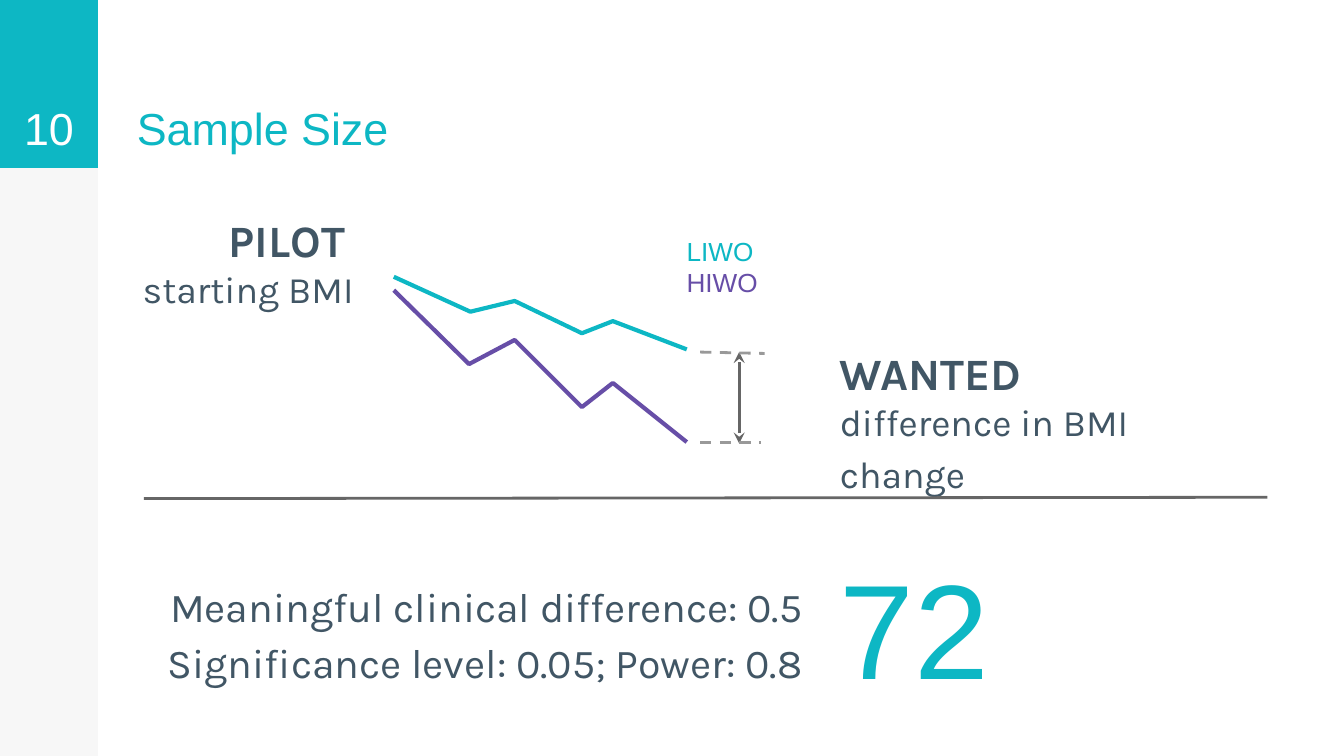
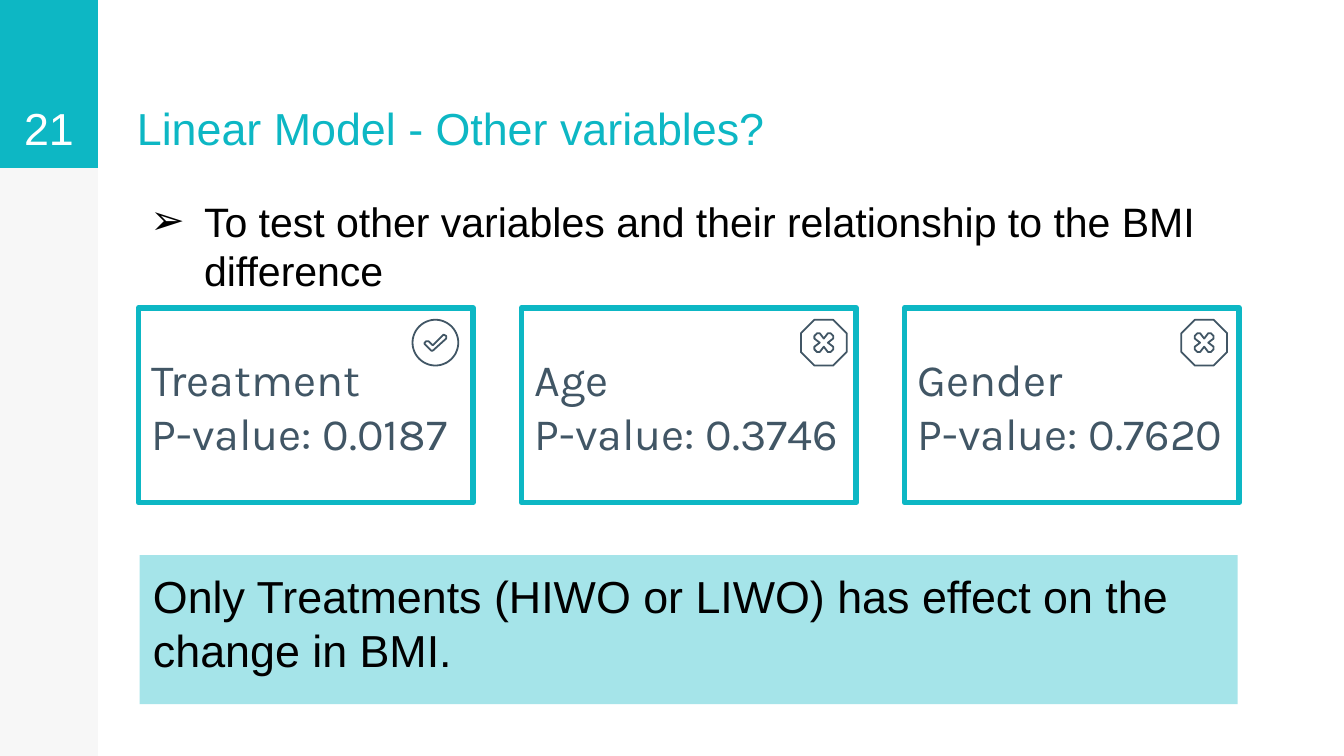
import math
from dataclasses import dataclass

from lxml import etree
from pptx import Presentation
from pptx.dml.color import RGBColor
from pptx.enum.dml import MSO_LINE
from pptx.enum.shapes import MSO_CONNECTOR, MSO_SHAPE
from pptx.enum.text import MSO_ANCHOR, PP_ALIGN
from pptx.oxml.ns import qn
from pptx.util import Inches, Pt

TEAL = RGBColor(0x0D, 0xB7, 0xC4)
PURPLE = RGBColor(0x67, 0x4E, 0xA7)
SLATE = RGBColor(0x41, 0x56, 0x65)
DARK_GRAY = RGBColor(0x66, 0x66, 0x66)
MID_GRAY = RGBColor(0x99, 0x99, 0x99)
BLACK = RGBColor(0, 0, 0)
WHITE = RGBColor(0xFF, 0xFF, 0xFF)

LEFT, CENTER, RIGHT = PP_ALIGN.LEFT, PP_ALIGN.CENTER, PP_ALIGN.RIGHT
TOP, MIDDLE, BOTTOM = MSO_ANCHOR.TOP, MSO_ANCHOR.MIDDLE, MSO_ANCHOR.BOTTOM
RECT, STRAIGHT, DASH = MSO_SHAPE.RECTANGLE, MSO_CONNECTOR.STRAIGHT, MSO_LINE.DASH

SLIDE_W = 10
SLIDE_H = SLIDE_W * 9 / 16
BAND_W, BAND_H = 0.73, 1.25
HEADING, BODY = "Arial", "Karla"

Point = tuple[float, float]
Box = tuple[float, float, float, float]


@dataclass(frozen=True)
class Run:
    text: str
    size: float
    color: RGBColor = SLATE
    font: str = BODY
    bold: bool = False


@dataclass(frozen=True)
class Trend:
    color: RGBColor
    points: list[Point]


@dataclass(frozen=True)
class Line:
    start: Point
    end: Point
    color: RGBColor
    dashed: bool = False
    arrows: bool = False


@dataclass(frozen=True)
class VariableCard:
    name: str
    p_value: str
    icon_x: float
    significant: bool


TRENDS = [
    Trend(TEAL, [(2.93, 2.06), (3.5, 2.32), (3.83, 2.24), (4.33, 2.48),
                 (4.56, 2.39), (5.11, 2.6)]),
    Trend(PURPLE, [(2.93, 2.16), (3.49, 2.71), (3.83, 2.53), (4.33, 3.03),
                   (4.56, 2.85), (5.11, 3.29)]),
]

LINES = [
    Line((1.07, 3.71), (9.43, 3.7), DARK_GRAY),
    Line((5.5, 3.3), (5.5, 2.62), DARK_GRAY, arrows=True),
    Line((5.21, 2.62), (5.69, 2.63), MID_GRAY, dashed=True),
    Line((5.21, 3.29), (5.66, 3.29), MID_GRAY, dashed=True),
]

CARDS = [
    VariableCard("Treatment", "0.0187", 3.24, True),
    VariableCard("Age", "0.3746", 6.13, False),
    VariableCard("Gender", "0.7620", 8.96, False),
]
CARD_X, CARD_Y, CARD_W, CARD_H, CARD_STEP = 1.03, 2.29, 2.49, 1.45, 2.85

# Icon outlines, relative to the icon centre
ICON_Y, ICON_R = 2.55, 0.17
TICK = [(-0.02, 0.06), (0.08, -0.03), (0.08, -0.05), (0.06, -0.06), (0.05, -0.05),
        (-0.02, 0.02), (-0.05, -0.01), (-0.07, -0.01), (-0.08, 0), (-0.08, 0.01),
        (-0.03, 0.06)]
CROSS_ARM = [(0.03, 0), (0.07, 0.03), (0.07, 0.05), (0.05, 0.07), (0.03, 0.07)]
OCTAGON_SIDE = [(ICON_R, -0.07), (ICON_R, 0.07)]


def four_turns(points: list[Point]) -> list[Point]:
    """Repeat the points after each quarter turn about the origin."""
    outline = []
    for _ in range(4):
        outline += points
        points = [(-y, x) for x, y in points]
    return outline


def circle(radius: float, steps: int = 72) -> list[Point]:
    angles = [2 * math.pi * i / steps for i in range(steps)]
    return [(radius * math.cos(a), radius * math.sin(a)) for a in angles]


def write(sp, paragraphs: list[list[Run]], align=LEFT, anchor=TOP, spacing: float = 1.0):
    tf = sp.text_frame
    tf.word_wrap = True
    tf.vertical_anchor = anchor
    tf.margin_left = tf.margin_right = tf.margin_top = tf.margin_bottom = Inches(0.1)
    for i, runs in enumerate(paragraphs):
        p = tf.paragraphs[0] if i == 0 else tf.add_paragraph()
        p.alignment = align
        p.line_spacing = spacing
        for run in runs:
            r = p.add_run()
            r.text = run.text
            r.font.size = Pt(run.size)
            r.font.name = run.font
            r.font.bold = run.bold
            r.font.color.rgb = run.color
    return tf


def add_text(s, box: Box, paragraphs: list[list[Run]], **layout):
    return write(s.shapes.add_textbox(*map(Inches, box)), paragraphs, **layout)


def add_rect(s, box: Box, fill: RGBColor | None = None, opacity: int = 100,
             line: RGBColor | None = None):
    sp = s.shapes.add_shape(RECT, *map(Inches, box))
    sp.shadow.inherit = False
    if fill is None:
        sp.fill.background()
    else:
        sp.fill.solid()
        sp.fill.fore_color.rgb = fill
        if opacity < 100:
            color = sp._element.spPr.find(".//" + qn("a:srgbClr"))
            etree.SubElement(color, qn("a:alpha"), val=str(opacity * 1000))
    if line is None:
        sp.line.fill.background()
    else:
        sp.line.color.rgb = line
        sp.line.width = Pt(3)
    return sp


def add_line(s, line: Line) -> None:
    c = s.shapes.add_connector(STRAIGHT, *map(Inches, line.start + line.end))
    c.line.color.rgb = line.color
    c.line.width = Pt(1.5)
    if line.dashed:
        c.line.dash_style = DASH
    if line.arrows:
        ln = c.line._get_or_add_ln()
        for end in ("a:headEnd", "a:tailEnd"):
            etree.SubElement(ln, qn(end), type="stealth")
    etree.SubElement(c._element.spPr, qn("a:effectLst"))


def add_outline(s, contours: list[list[Point]], color: RGBColor, width: float,
                closed: bool, center: Point = (0, 0)) -> None:
    """Draw the contours, given relative to center, as one unfilled freeform."""
    builder = None
    for contour in contours:
        points = [(Inches(center[0] + x), Inches(center[1] + y)) for x, y in contour]
        if builder is None:
            builder = s.shapes.build_freeform(*points[0])
        else:
            builder.move_to(*points[0])
        builder.add_line_segments(points[1:], close=closed)
    sp = builder.convert_to_shape()
    sp.shadow.inherit = False
    sp.fill.background()
    sp.line.color.rgb = color
    sp.line.width = Pt(width)


def add_base_slide(prs, number: str, title: str, title_w: float):
    """Add a slide with the side bands, its number and its title."""
    s = prs.slides.add_slide(prs.slide_layouts[6])
    add_rect(s, (0, 0, BAND_W, SLIDE_H), BLACK, opacity=3)
    add_rect(s, (0, 0, BAND_W, BAND_H), TEAL)
    add_text(s, (0.92, 0, title_w, BAND_H), [[Run(title, 24, TEAL, HEADING)]],
             anchor=BOTTOM)
    add_text(s, (0, 0, BAND_W, BAND_H), [[Run(number, 24, WHITE, HEADING)]],
             align=CENTER, anchor=BOTTOM)
    return s


def add_card(s, index: int, card: VariableCard) -> None:
    box = (CARD_X + index * CARD_STEP, CARD_Y, CARD_W, CARD_H)
    write(add_rect(s, box, line=TEAL),
          [[Run(card.name, 24)], [Run(f"P-value: {card.p_value}", 24)]], anchor=MIDDLE)
    if card.significant:
        icon = [circle(ICON_R), TICK]
    else:
        icon = [four_turns(OCTAGON_SIDE), four_turns(CROSS_ARM)]
    add_outline(s, icon, SLATE, 0.96, closed=True, center=(card.icon_x, ICON_Y))


def add_arrow_bullet(p) -> None:
    pPr = p._p.get_or_add_pPr()
    pPr.set("marL", str(Inches(0.5)))
    pPr.set("indent", str(Inches(-0.4)))
    color = etree.SubElement(pPr, qn("a:buClr"))
    etree.SubElement(color, qn("a:srgbClr"), val=str(BLACK))
    etree.SubElement(pPr, qn("a:buFont"), typeface=HEADING)
    etree.SubElement(pPr, qn("a:buChar"), char="➢")


def build_sample_size(prs) -> None:
    s = add_base_slide(prs, "10", "Sample Size", 3.89)
    add_text(s, (0.92, 1.48, 1.81, 0.97),
             [[Run("PILOT", 24, bold=True), Run(" ", 20)], [Run("starting BMI ", 20)]],
             align=RIGHT)
    add_text(s, (6.15, 2.47, 3.12, 0.93),
             [[Run("WANTED", 24, bold=True)],
              [Run("difference in BMI change", 20), Run(" ", 18), Run(" ", 24)]])
    add_text(s, (0.97, 4.17, 5.1, 0.93),
             [[Run("Meaningful clinical difference: 0.5", 22)],
              [Run("Significance level: 0.05; Power: 0.8", 22)]],
             align=RIGHT, spacing=1.15)
    add_text(s, (6.15, 3.96, 3.62, 1.2), [[Run("72", 72, TEAL, HEADING)]])
    for line in LINES:
        add_line(s, line)
    for trend in TRENDS:
        add_outline(s, [trend.points], trend.color, 2.25, closed=False)
    add_text(s, (5.01, 1.65, 0.82, 0.4),
             [[Run("LIWO", 14, TEAL, HEADING)], [Run("HIWO", 14, PURPLE, HEADING)]])


def build_other_variables(prs) -> None:
    s = add_base_slide(prs, "21", "Linear Model - Other variables?", 5.11)
    question = "To test other variables and their relationship to the BMI difference"
    tf = add_text(s, (0.92, 1.36, 9.08, 0.66), [[Run(question, 22, BLACK, HEADING)]])
    add_arrow_bullet(tf.paragraphs[0])
    for i, card in enumerate(CARDS):
        add_card(s, i, card)
    conclusion = "Only Treatments (HIWO or LIWO) has effect on the change in BMI."
    write(add_rect(s, (1.04, 4.13, 8.17, 1.11), TEAL, opacity=37),
          [[Run(conclusion, 24, BLACK, HEADING)]])


def main() -> None:
    prs = Presentation()
    prs.slide_width, prs.slide_height = Inches(SLIDE_W), Inches(SLIDE_H)
    build_sample_size(prs)
    build_other_variables(prs)
    prs.save("out.pptx")


if __name__ == "__main__":
    main()
